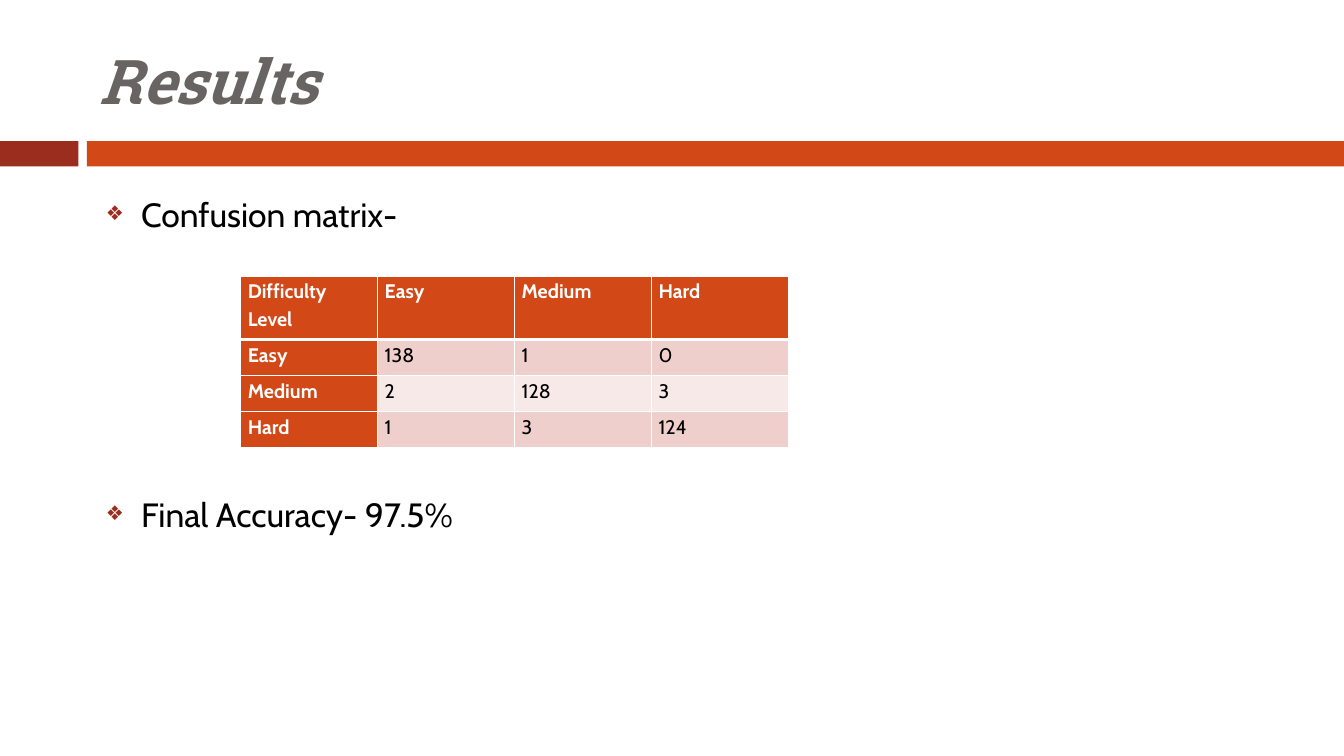
from pptx import Presentation
from pptx.dml.color import RGBColor
from pptx.enum.shapes import MSO_SHAPE as SHAPE
from pptx.enum.text import MSO_ANCHOR as ANCHOR, MSO_AUTO_SIZE as AUTO_SIZE, PP_ALIGN as ALIGN
from pptx.oxml import parse_xml
from pptx.oxml.ns import nsdecls
from pptx.util import Pt

BODY_FONT, TITLE_FONT = "Cabin", "Roboto Slab"
ORANGE, DARK_RED, GREY = "D34817", "9B2D1F", "696464"
PINK, PALE_PINK, WHITE, BLACK = "EFCFCC", "F7E9E8", "FFFFFF", "000000"

MATRIX = [
    ["Difficulty Level", "Easy", "Medium", "Hard"],
    ["Easy", "138", "1", "0"],
    ["Medium", "2", "128", "3"],
    ["Hard", "1", "3", "124"],
]
ROW_HEIGHTS = [45.4, 25.8, 25.8, 25.8]
COL_WIDTH = 97.8


def rgb(value):
    return RGBColor.from_string(value)


def format_runs(p, font, size, color, bold=False, italic=False):
    for r in p.runs:
        r.font.name = font
        r.font.size = Pt(size)
        r.font.color.rgb = rgb(color)
        r.font.bold = bold
        r.font.italic = italic


def place(s, left, top, width, height):
    s.left, s.top, s.width, s.height = Pt(left), Pt(top), Pt(width), Pt(height)


def add_bar(slide, left, width, color):
    s = slide.shapes.add_shape(SHAPE.RECTANGLE, Pt(left), Pt(100.8), Pt(width), Pt(18))
    s.shadow.inherit = False
    s.fill.solid()
    s.fill.fore_color.rgb = rgb(color)
    s.line.fill.background()


def fill_title(title, text):
    place(title, 64, 18, 856, 78)
    tf = title.text_frame
    tf.text = text
    tf.auto_size = AUTO_SIZE.NONE
    tf.vertical_anchor = ANCHOR.MIDDLE
    p = tf.paragraphs[0]
    p.alignment = ALIGN.LEFT
    format_runs(p, TITLE_FONT, 44, GREY, bold=True, italic=True)


def set_bullet(p, char, color, percent, indent):
    pPr = p._p.get_or_add_pPr()
    pPr.set("marL", str(Pt(indent)))
    pPr.set("indent", str(-Pt(indent)))
    for xml in (
        f'<a:buClr {nsdecls("a")}><a:srgbClr val="{color}"/></a:buClr>',
        f'<a:buSzPct {nsdecls("a")} val="{percent * 1000}"/>',
        f'<a:buChar {nsdecls("a")} char="{char}"/>',
    ):
        pPr.append(parse_xml(xml))


def fill_list(body, items):
    """Fill the body with (text, space before) items."""
    place(body, 68.4, 134.6, 815, 316)
    tf = body.text_frame
    tf.text = "\n".join(text for text, _ in items)
    tf.auto_size = AUTO_SIZE.NONE
    for p, (_, space) in zip(tf.paragraphs, items):
        p.space_before = Pt(space)
        set_bullet(p, "❖", DARK_RED, 60, 25.2)
        format_runs(p, BODY_FONT, 24, BLACK)


def set_border(cell, side, width):
    cell._tc.get_or_add_tcPr().append(parse_xml(
        f'<a:ln{side} {nsdecls("a")} w="{Pt(width)}"><a:solidFill>'
        f'<a:srgbClr val="{WHITE}"/></a:solidFill></a:ln{side}>'))


def format_cell(cell, text, row, col):
    is_header = row == 0 or col == 0
    cell.margin_left = cell.margin_right = Pt(5)
    cell.margin_top = cell.margin_bottom = 0
    cell.text = text
    p = cell.text_frame.paragraphs[0]
    p.alignment = ALIGN.JUSTIFY
    p.line_spacing = 1.15
    p.space_after = Pt(10)
    format_runs(p, BODY_FONT, 14, WHITE if is_header else BLACK, bold=is_header)
    for side in "LRTB":
        under_header = (row, side) in ((0, "B"), (1, "T"))
        set_border(cell, side, 3 if under_header else 1)
    band = PINK if row % 2 else PALE_PINK
    cell.fill.solid()
    cell.fill.fore_color.rgb = rgb(ORANGE if is_header else band)


def add_matrix(slide, left, top):
    n_cols = len(MATRIX[0])
    table = slide.shapes.add_table(len(MATRIX), n_cols, Pt(left), Pt(top),
                                   Pt(COL_WIDTH * n_cols), Pt(sum(ROW_HEIGHTS))).table
    table.first_col = True
    for column in table.columns:
        column.width = Pt(COL_WIDTH)
    for row, values in enumerate(MATRIX):
        table.rows[row].height = Pt(ROW_HEIGHTS[row])
        for col, text in enumerate(values):
            format_cell(table.cell(row, col), text, row, col)


def main():
    prs = Presentation()
    prs.slide_width, prs.slide_height = Pt(960), Pt(540)
    slide = prs.slides.add_slide(prs.slide_layouts[1])
    add_bar(slide, 0, 56, DARK_RED)
    add_bar(slide, 62, 898, ORANGE)
    fill_title(slide.shapes.title, "Results")
    fill_list(slide.placeholders[1],
              [("Confusion matrix-", 7), ("Final Accuracy- 97.5%", 185.5)])
    add_matrix(slide, 172, 197.2)
    prs.save("out.pptx")


if __name__ == "__main__":
    main()
